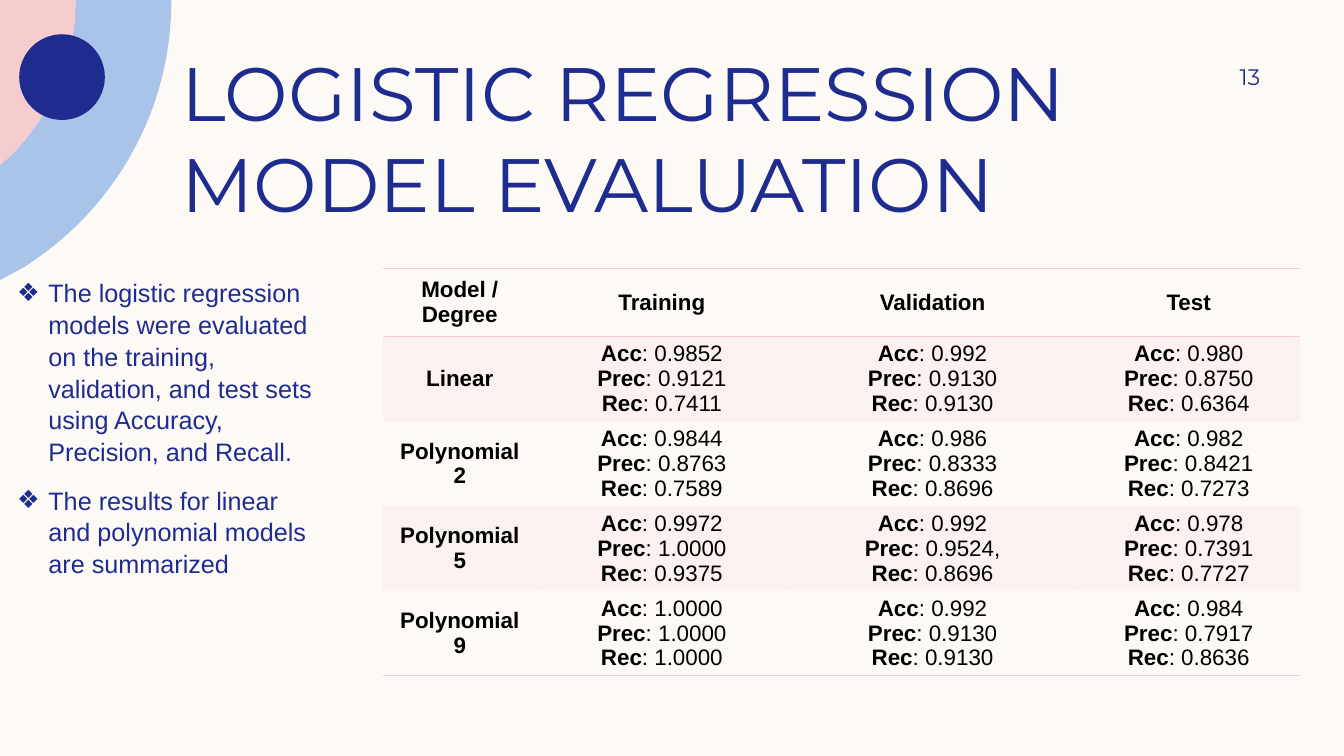
from lxml import etree
from pptx import Presentation
from pptx import util as u
from pptx.dml.color import RGBColor
from pptx.enum import shapes, text
from pptx.oxml import ns

NAVY, BLUE, PINK, CREAM, BLACK = "1F2C8F", "AAC3E8", "F5CDCE", "FDFAF6", "000000"
NO_STYLE = "{2D5ABB26-0587-4C30-8999-92F81FD0307C}"
BULLETS = [
    "The logistic regression models were evaluated on the training, validation, "
    "and test sets using Accuracy, Precision, and Recall.",
    "The results for linear and polynomial models are summarized",
]
HEADERS = ["Model / Degree", "Training", "Validation", "Test"]
METRICS = ["Acc", "Prec", "Rec"]
RESULTS = {
    "Linear": ["0.9852 0.9121 0.7411", "0.992 0.9130 0.9130", "0.980 0.8750 0.6364"],
    "Polynomial 2": ["0.9844 0.8763 0.7589", "0.986 0.8333 0.8696", "0.982 0.8421 0.7273"],
    "Polynomial 5": ["0.9972 1.0000 0.9375", "0.992 0.9524, 0.8696", "0.978 0.7391 0.7727"],
    "Polynomial 9": ["1.0000 1.0000 1.0000", "0.992 0.9130 0.9130", "0.984 0.7917 0.8636"],
}
COLUMN_WIDTHS = [1.52, 2.49, 2.88, 2.2]
HEADER_HEIGHT, ROW_HEIGHT = 0.68, 0.84


def color(value):
    return RGBColor.from_string(value)


def set_font(paragraph, size, name, value):
    font = paragraph.font
    font.size, font.name = u.Pt(size), name
    font.color.rgb = color(value)


def curve(start, control_1, control_2, end, steps=24):
    """Return points along a cubic curve, both ends included."""
    points = []
    for step in range(steps + 1):
        t = step / steps
        weights = ((1 - t) ** 3, 3 * t * (1 - t) ** 2, 3 * t * t * (1 - t), t ** 3)
        corners = list(zip(start, control_1, control_2, end))
        points.append(tuple(sum(w * c for w, c in zip(weights, axis)) for axis in corners))
    return points


def paint(shape, fill):
    shape.shadow.inherit = False
    shape.fill.solid()
    shape.fill.fore_color.rgb = color(fill)
    shape.line.fill.background()


def add_outline(slide, points, fill):
    corners = [(u.Inches(x), u.Inches(y)) for x, y in points]
    builder = slide.shapes.build_freeform(*corners[0])
    builder.add_line_segments(corners[1:])
    paint(builder.convert_to_shape(), fill)


def add_corner_art(slide):
    inner = [(0.75, 0), *curve((0.74, 0.22), (0.68, 0.73), (0.46, 1.19), (0.11, 1.54)), (0, 1.64)]
    outer = [(1.7, 0), *curve((1.7, 0.01), (1.7, 1.12), (1.12, 2.09), (0.24, 2.65)), (0, 2.78)]
    add_outline(slide, outer + inner[::-1], BLUE)
    add_outline(slide, [(0, 0)] + inner, PINK)
    dot = slide.shapes.add_shape(shapes.MSO_SHAPE.OVAL, u.Inches(0.19), u.Inches(0.34),
                                 u.Inches(0.85), u.Inches(0.85))
    paint(dot, NAVY)


def place(shape, left, top, width, height, anchor):
    shape.left, shape.top = u.Inches(left), u.Inches(top)
    shape.width, shape.height = u.Inches(width), u.Inches(height)
    frame = shape.text_frame
    frame.word_wrap = True
    frame.auto_size = text.MSO_AUTO_SIZE.NONE
    frame.vertical_anchor = anchor
    frame.margin_left = frame.margin_right = u.Inches(0.1)
    frame.margin_top = frame.margin_bottom = 0
    return frame


def add_title(slide):
    frame = place(slide.shapes.title, 1.7, 1.19, 10.8, 1.07, text.MSO_ANCHOR.BOTTOM)
    frame.text = "LOGISTIC REGRESSION \vMODEL EVALUATION"
    paragraph = frame.paragraphs[0]
    paragraph.alignment = text.PP_ALIGN.LEFT
    set_font(paragraph, 54, "Montserrat", NAVY)


def add_bullets(slide):
    frame = place(slide.placeholders[1], 0.07, 2.74, 3.25, 4.05, text.MSO_ANCHOR.TOP)
    frame.text = "\n".join(BULLETS)
    for paragraph in frame.paragraphs:
        properties = paragraph._p.get_or_add_pPr()
        properties.set("marL", str(u.Inches(0.31)))
        properties.set("indent", str(-u.Inches(0.31)))
        etree.SubElement(properties, ns.qn("a:buChar")).set("char", "❖")
        paragraph.line_spacing = 1.05
        paragraph.space_before, paragraph.space_after = 0, u.Pt(12)
        set_font(paragraph, 18, "Arial", NAVY)


def add_page_number(slide):
    box = slide.shapes.add_textbox(0, 0, 0, 0)
    frame = place(box, 11.33, 0.5, 1.17, 0.52, text.MSO_ANCHOR.MIDDLE)
    frame.margin_right = 0
    frame.text = "13"
    frame.paragraphs[0].alignment = text.PP_ALIGN.RIGHT
    set_font(frame.paragraphs[0], 16, "Montserrat", NAVY)


def add_border(cell, side):
    properties = cell._tc.get_or_add_tcPr()
    line = etree.Element(ns.qn("a:" + side), w=str(u.Pt(1)))
    fill = etree.SubElement(line, ns.qn("a:solidFill"))
    etree.SubElement(fill, ns.qn("a:srgbClr"), val=PINK)
    properties.insert(len(properties.findall(ns.qn("a:lnT"))), line)


def fill_cell(cell, lines, shaded):
    """Write (bold, regular) text pairs, one a line, and shade the cell."""
    cell.vertical_anchor = text.MSO_ANCHOR.MIDDLE
    frame = cell.text_frame
    for index, (bold, regular) in enumerate(lines):
        paragraph = frame.add_paragraph() if index else frame.paragraphs[0]
        paragraph.alignment = text.PP_ALIGN.CENTER
        set_font(paragraph, 16, "Arial", BLACK)
        for words, is_bold in ((bold, True), (regular, False)):
            if words:
                run = paragraph.add_run()
                run.text, run.font.bold = words, is_bold
                run.font.size, run.font.name = u.Pt(16), "Arial"
                run.font.color.rgb = color(BLACK)
    if shaded:
        cell.fill.solid()
        cell.fill.fore_color.rgb = color(PINK)
        tint = cell._tc.tcPr.find(".//" + ns.qn("a:srgbClr"))
        etree.SubElement(tint, ns.qn("a:alpha")).set("val", "20000")
    else:
        cell.fill.background()


def add_results_table(slide):
    rows = [[[(header, "")] for header in HEADERS]]
    for model, scores in RESULTS.items():
        cells = [[(metric, ": " + value) for metric, value in zip(METRICS, score.split())]
                 for score in scores]
        rows.append([[(model, "")]] + cells)
    height = HEADER_HEIGHT + ROW_HEIGHT * len(RESULTS)
    frame = slide.shapes.add_table(len(rows), len(HEADERS), u.Inches(3.8), u.Inches(2.66),
                                   u.Inches(sum(COLUMN_WIDTHS)), u.Inches(height))
    table = frame.table
    table.horz_banding = table.first_row = False
    table._tbl.tblPr.find(ns.qn("a:tableStyleId")).text = NO_STYLE
    for column, width in zip(table.columns, COLUMN_WIDTHS):
        column.width = u.Inches(width)
    for r, row in enumerate(rows):
        table.rows[r].height = u.Inches(ROW_HEIGHT if r else HEADER_HEIGHT)
        for c, lines in enumerate(row):
            cell = table.cell(r, c)
            fill_cell(cell, lines, r % 2 == 1)
            if r == 0:
                add_border(cell, "lnT")
            if r in (0, len(rows) - 1):
                add_border(cell, "lnB")


def main():
    presentation = Presentation()
    presentation.slide_width, presentation.slide_height = u.Inches(13.33), u.Inches(7.5)
    slide = presentation.slides.add_slide(presentation.slide_layouts[1])
    slide.background.fill.solid()
    slide.background.fill.fore_color.rgb = color(CREAM)
    add_corner_art(slide)
    add_title(slide)
    add_bullets(slide)
    add_results_table(slide)
    add_page_number(slide)
    presentation.save("out.pptx")


if __name__ == "__main__":
    main()
